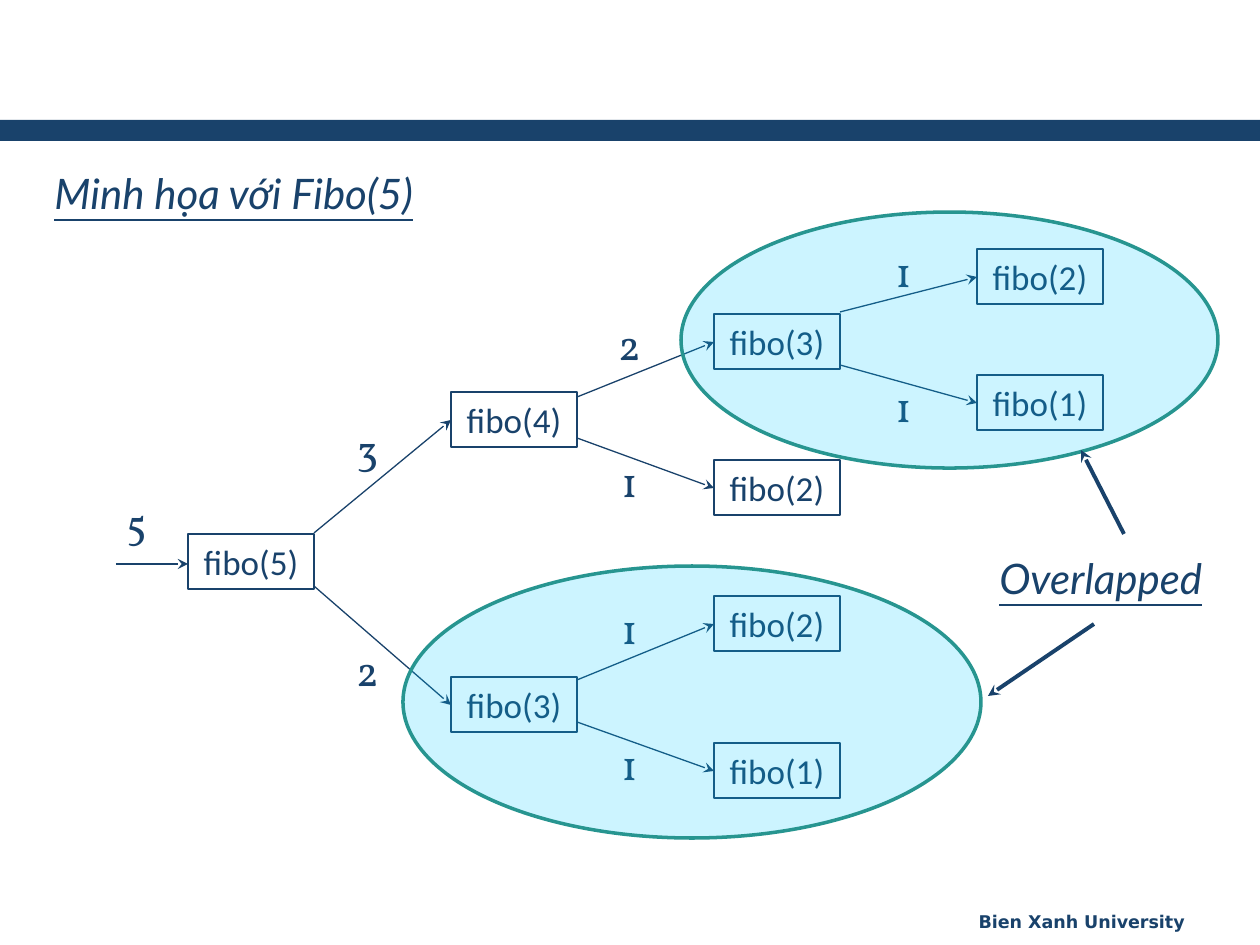
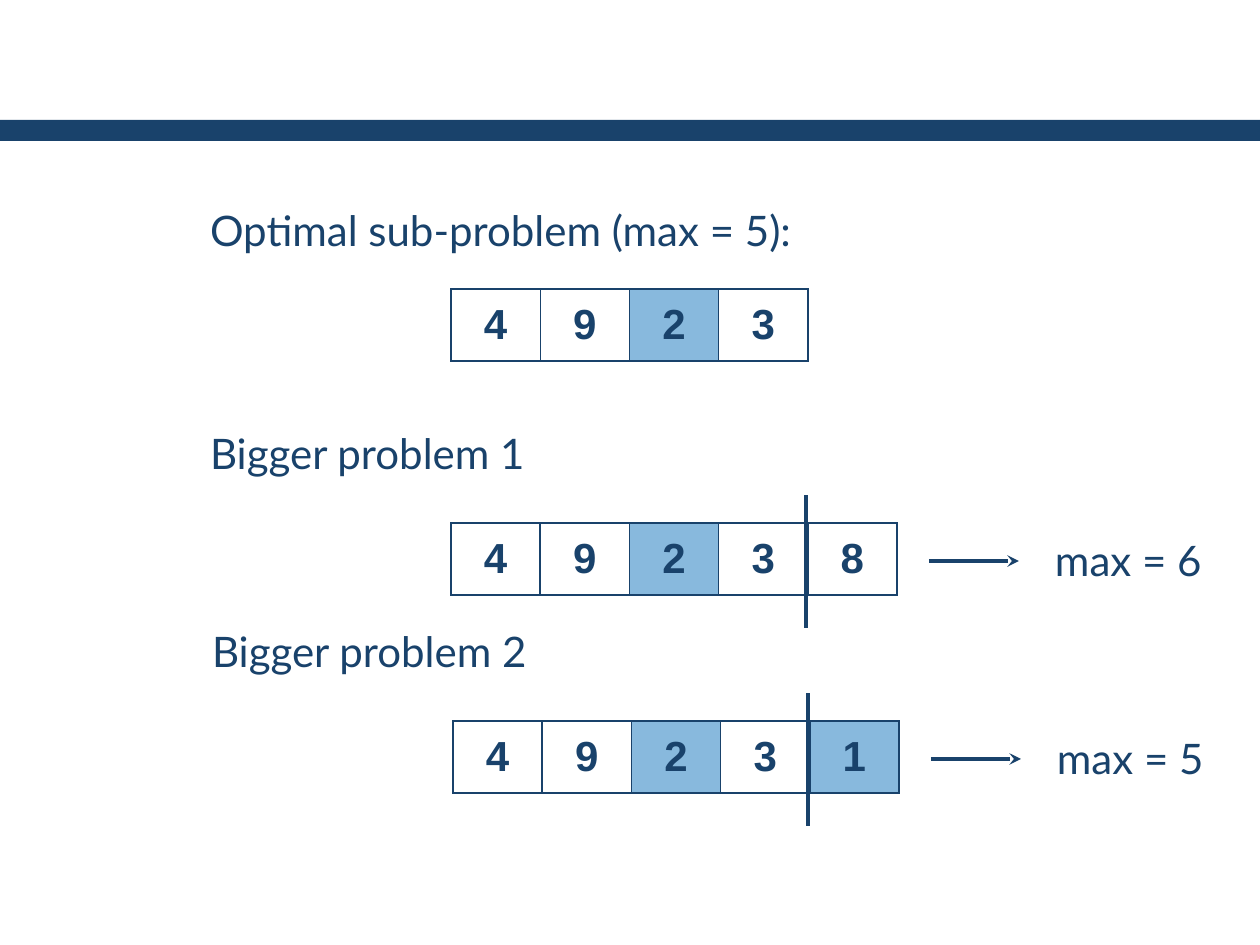
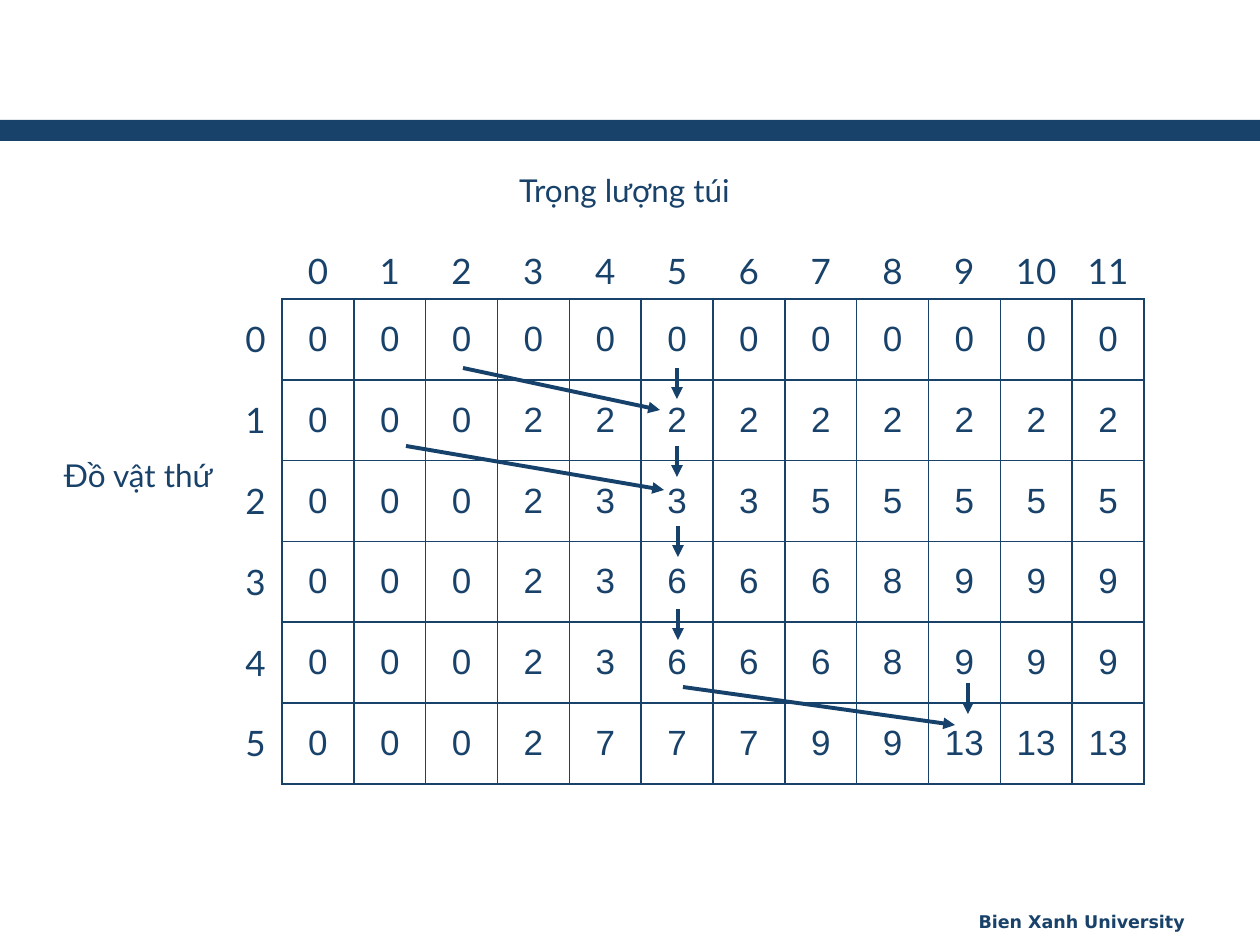
import lxml.etree
import pptx
import pptx.dml.color
import pptx.enum.shapes
import pptx.enum.text
import pptx.oxml.ns
import pptx.util

EMU_PER_PX = 914400 / 126
PAGE_WIDTH, PAGE_HEIGHT = 1260, 945

NAVY = pptx.dml.color.RGBColor(0x19, 0x42, 0x6B)
ARROW_NAVY = pptx.dml.color.RGBColor(0x16, 0x41, 0x6B)
TEAL = pptx.dml.color.RGBColor(0x27, 0x95, 0x90)
CYAN = pptx.dml.color.RGBColor(0x00, 0xCC, 0xFF)
SKY = pptx.dml.color.RGBColor(0x88, 0xB9, 0xDD)

FOOTER = {"name": "DejaVu Sans", "size": pptx.util.Pt(10), "bold": True}
CALLOUT = {"name": "Lato", "size": pptx.util.Pt(24), "italic": True, "underline": True}
HEADING = {"name": "Lato", "size": pptx.util.Pt(24)}
AXIS_TITLE = {"name": "Lato", "size": pptx.util.Pt(18)}
AXIS_NUMBER = {"name": "Lato", "size": pptx.util.Pt(20), "bold": False}
CALL_NAME = {"name": "Calibri", "size": pptx.util.Pt(20)}
CALL_COUNT = {"name": "Vollkorn", "size": pptx.util.Pt(24)}
ARRAY_VALUE = {"name": "Arial", "size": pptx.util.Pt(24), "bold": True}
GRID_VALUE = {"name": "Arial", "size": pptx.util.Pt(20), "bold": False}

LEFT = pptx.enum.text.PP_ALIGN.LEFT
CENTER = pptx.enum.text.PP_ALIGN.CENTER
RIGHT = pptx.enum.text.PP_ALIGN.RIGHT
SHAPES = pptx.enum.shapes.MSO_SHAPE

# name, column, top, count, top of count, start of the arrow
CALLS = [
    ("fibo(5)", 0, 534, "5", 491, 564),
    ("fibo(4)", 1, 392, "3", 417, 533),
    ("fibo(3)", 1, 677, "2", 638, 586),
    ("fibo(3)", 2, 314, "2", 312, 397),
    ("fibo(2)", 2, 460, "1", 449, 438),
    ("fibo(2)", 3, 249, "1", 239, 312),
    ("fibo(1)", 3, 375, "1", 374, 365),
    ("fibo(2)", 2, 596, "1", 596, 680),
    ("fibo(1)", 2, 743, "1", 732, 722),
]
COUNT_LEFTS = [105, 336, 598, 872]

KNAPSACK = [
    [0, 0, 0, 0, 0, 0, 0, 0, 0, 0, 0, 0],
    [0, 0, 0, 2, 2, 2, 2, 2, 2, 2, 2, 2],
    [0, 0, 0, 2, 3, 3, 3, 5, 5, 5, 5, 5],
    [0, 0, 0, 2, 3, 6, 6, 6, 8, 9, 9, 9],
    [0, 0, 0, 2, 3, 6, 6, 6, 8, 9, 9, 9],
    [0, 0, 0, 2, 7, 7, 7, 9, 9, 13, 13, 13],
]
DOWN_STEPS = [(395, 69), (395, 147), (396, 227), (396, 310), (686, 384)]
TAKE_STEPS = [(181, 69, 378, 111), (124, 147, 382, 191), (401, 388, 673, 426)]


def px(length):
    return pptx.util.Emu(round(length * EMU_PER_PX))


def write(frame, text, style, align):
    para = frame.paragraphs[0]
    para.alignment = align
    span = para.add_run()
    span.text = str(text)
    for key, value in style.items():
        setattr(span.font, key, value)
    span.font.color.rgb = NAVY
    return para


def add_text(page, box, text, style, align=LEFT):
    frame = page.shapes.add_textbox(*map(px, box)).text_frame
    frame.word_wrap = True
    return frame, write(frame, text, style, align)


def add_heading(page, box, text, style=HEADING):
    """Indented text with slightly open lines."""
    frame, para = add_text(page, box, text, style)
    frame.margin_left = px(68)
    para.line_spacing = 1.1


def add_shape(page, kind, box, fill=None, line=None, width=0.75):
    shape = page.shapes.add_shape(kind, *map(px, box))
    shape.shadow.inherit = False
    if fill is None:
        shape.fill.background()
    else:
        shape.fill.solid()
        shape.fill.fore_color.rgb = fill
    if line is None:
        shape.line.fill.background()
    else:
        shape.line.color.rgb = line
        shape.line.width = pptx.util.Pt(width)
    return shape


def add_line(page, ends, width=2.25, head=None, color=NAVY):
    line = page.shapes.add_connector(
        pptx.enum.shapes.MSO_CONNECTOR.STRAIGHT, *map(px, ends))
    line.line.color.rgb = color
    line.line.width = pptx.util.Pt(width)
    properties = line._element.spPr
    if head:
        outline = properties.find(pptx.oxml.ns.qn("a:ln"))
        lxml.etree.SubElement(outline, pptx.oxml.ns.qn("a:tailEnd"), type=head)
    lxml.etree.SubElement(properties, pptx.oxml.ns.qn("a:effectLst"))


def set_borders(cell, visible):
    properties = cell._tc.get_or_add_tcPr()
    for side in ("lnL", "lnR", "lnT", "lnB"):
        border = lxml.etree.SubElement(properties, pptx.oxml.ns.qn("a:" + side))
        if visible:
            border.set("w", str(pptx.util.Pt(1)))
            fill = lxml.etree.SubElement(border, pptx.oxml.ns.qn("a:solidFill"))
            lxml.etree.SubElement(fill, pptx.oxml.ns.qn("a:srgbClr"), val=str(NAVY))
        else:
            lxml.etree.SubElement(border, pptx.oxml.ns.qn("a:noFill"))


def add_grid(page, box, rows, style, bordered=True, marked=()):
    """Table of equal cells; marked lists the columns to shade."""
    left, top, width, height = box
    table = page.shapes.add_table(len(rows), len(rows[0]), *map(px, box)).table
    table.first_row = table.horz_banding = False
    for column in table.columns:
        column.width = px(width / len(rows[0]))
    for r, values in enumerate(rows):
        table.rows[r].height = px(height / len(rows))
        for c, value in enumerate(values):
            cell = table.cell(r, c)
            set_borders(cell, bordered)
            if c in marked:
                cell.fill.solid()
                cell.fill.fore_color.rgb = SKY
            else:
                cell.fill.background()
            cell.vertical_anchor = pptx.enum.text.MSO_ANCHOR.MIDDLE
            write(cell.text_frame, value, style, CENTER)


def add_page(deck, footer=True):
    page = deck.slides.add_slide(deck.slide_layouts[6])
    add_shape(page, SHAPES.RECTANGLE, (0, 120, PAGE_WIDTH, 21), NAVY)
    if footer:
        add_text(page, (872, 905, 325, 34), "Bien Xanh University", FOOTER, RIGHT)
    return page


def add_call(page, name, column, top, count, count_top, arrow_top):
    """One box of the call tree with the arrow and the count leading to it."""
    width, height, pitch = 126, 55, 263
    left = 188 + column * pitch
    shape = add_shape(page, SHAPES.RECTANGLE, (left, top, width, height), line=NAVY)
    shape.text_frame.vertical_anchor = pptx.enum.text.MSO_ANCHOR.MIDDLE
    write(shape.text_frame, name, CALL_NAME, CENTER)
    arrow_left = left - pitch + width if column else 116
    arrow_end = top + 28 if column else arrow_top
    add_line(page, (arrow_left, arrow_top, left, arrow_end), 0.75, "stealth")
    add_text(page, (COUNT_LEFTS[column], count_top, 63, 64), count, CALL_COUNT, CENTER)


def add_overlap(page, box):
    ellipse = add_shape(page, SHAPES.OVAL, box, CYAN, TEAL, 2)
    color = ellipse._element.spPr.find(".//" + pptx.oxml.ns.qn("a:srgbClr"))
    lxml.etree.SubElement(color, pptx.oxml.ns.qn("a:alpha"), val="20000")


def build_call_tree(deck):
    page = add_page(deck)
    add_text(page, (42, 161, 420, 73), "Minh họa với Fibo(5)", CALLOUT)
    for call in CALLS:
        add_call(page, *call)
    for box in ((403, 566, 578, 272), (681, 212, 537, 256)):
        add_overlap(page, box)
    add_text(page, (987, 546, 257, 73), "Overlapped", CALLOUT)
    for ends in ((1124, 534, 1081, 450), (1094, 624, 988, 696)):
        add_line(page, ends, head="stealth")


def add_bigger_problem(page, box, title, values, marked, result):
    """Array in the box, cut before its last value, with title and result."""
    left, top, width, height = box
    add_heading(page, (left - 309, top - 107, 408, 77), title)
    add_grid(page, box, [values], ARRAY_VALUE, marked=marked)
    cut = left + 355
    add_line(page, (cut, top + 105, cut, top - 28))
    add_line(page, (left + 478, top + 38, left + 568, top + 38), head="stealth")
    add_heading(page, (left + 536, top, 277, 77), result)


def build_sub_problems(deck):
    page = add_page(deck, footer=False)
    values = [4, 9, 2, 3]
    add_heading(page, (142, 193, 840, 77), "Optimal sub-problem (max = 5):")
    add_grid(page, (451, 289, 357, 72), [values], ARRAY_VALUE, marked=[2])
    add_bigger_problem(page, (451, 523, 446, 72), "Bigger problem 1",
                       values + [8], [2], "max = 6")
    add_bigger_problem(page, (453, 721, 446, 72), "Bigger problem 2",
                       values + [1], [2, 4], "max = 5")


def add_knapsack(page, box):
    """Grid in the box, with numbers above and to the left, and step arrows."""
    left, top, width, height = box
    add_grid(page, box, KNAPSACK, GRID_VALUE)
    add_grid(page, (left, top - 57, width, 57), [range(len(KNAPSACK[0]))],
             AXIS_NUMBER, bordered=False)
    add_grid(page, (left - 53, top, 53, height), [[row] for row in range(len(KNAPSACK))],
             AXIS_NUMBER, bordered=False)
    downs = [(x, y, x, y + 31) for x, y in DOWN_STEPS]
    for x1, y1, x2, y2 in downs + TAKE_STEPS:
        add_line(page, (left + x1, top + y1, left + x2, top + y2),
                 head="triangle", color=ARROW_NAVY)


def build_knapsack(deck):
    page = add_page(deck)
    add_heading(page, (-4, 446, 237, 53), "Đồ vật thứ", AXIS_TITLE)
    add_heading(page, (451, 161, 399, 53), "Trọng lượng túi", AXIS_TITLE)
    add_knapsack(page, (282, 299, 862, 485))


def main():
    deck = pptx.Presentation()
    deck.slide_width, deck.slide_height = px(PAGE_WIDTH), px(PAGE_HEIGHT)
    build_call_tree(deck)
    build_sub_problems(deck)
    build_knapsack(deck)
    deck.save("out.pptx")


if __name__ == "__main__":
    main()
